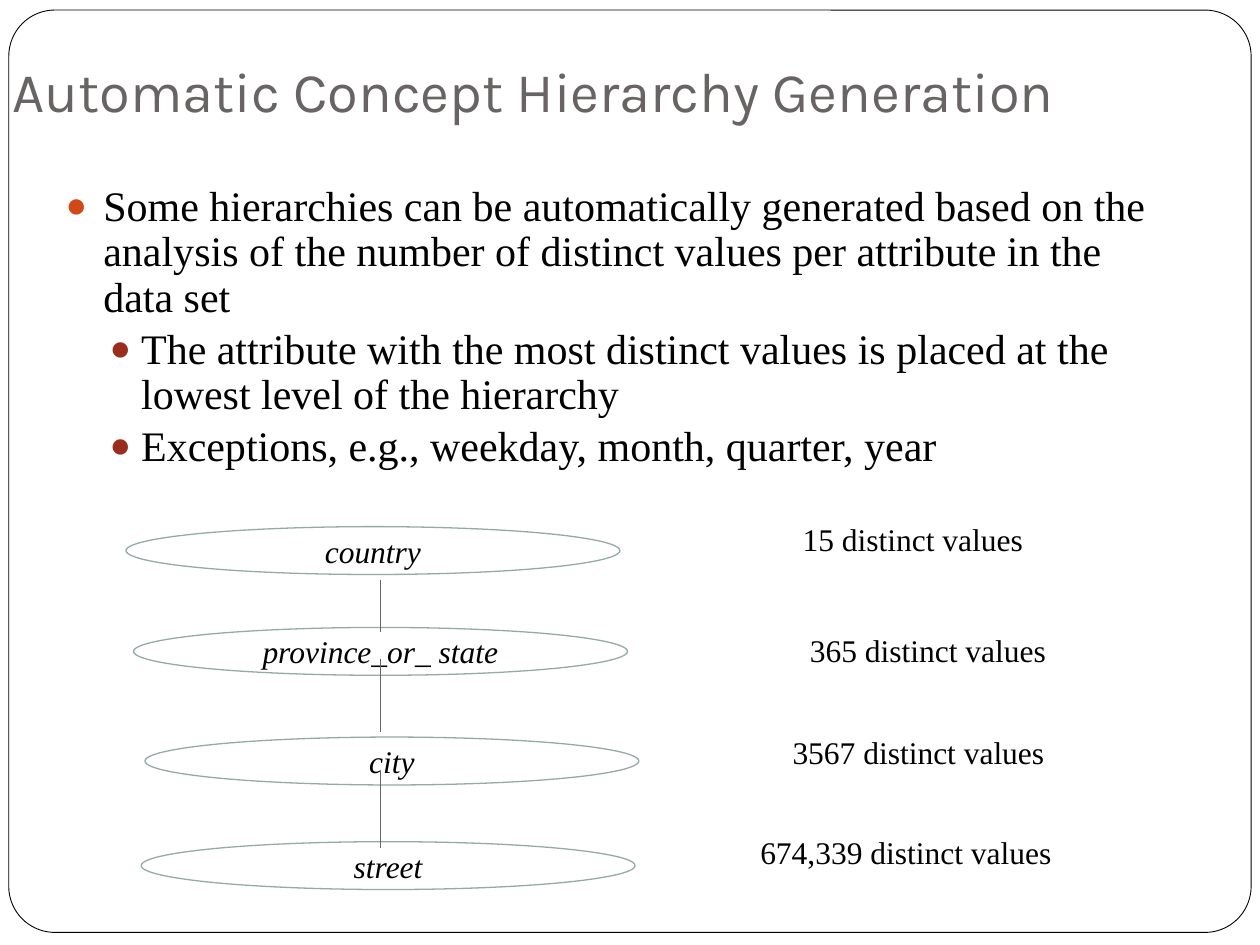
import pptx
import pptx.dml.color
import pptx.enum.shapes
import pptx.enum.text
import pptx.oxml
import pptx.oxml.ns
import pptx.util
from pptx.util import Inches

COLORS = {
    "paper": "FFFFFF",
    "ink": "000000",
    "title": "696464",
    "ellipse": "96A9A9",
    "link": "696464",
    "bullet": "D34817",
    "sub_bullet": "9B2D1F",
}
BODY_FONT = "Times New Roman"
ALIGN = pptx.enum.text.PP_ALIGN
ANCHOR = pptx.enum.text.MSO_ANCHOR
AUTO_SIZE = pptx.enum.text.MSO_AUTO_SIZE
SHAPE = pptx.enum.shapes.MSO_SHAPE

# text, outline level
POINTS = [
    ("Some hierarchies can be automatically generated based on the analysis "
     "of the number of distinct values per attribute in the data set", 0),
    ("The attribute with the most distinct values is placed at the lowest "
     "level of the hierarchy", 1),
    ("Exceptions, e.g., weekday, month, quarter, year", 1),
]
# indent, hanging, space before, bullet colour for each outline level
LEVELS = [(0.3, 0.3, 5.8, "bullet"), (0.6, 0.25, 3.7, "sub_bullet")]

# attribute, left, top (relative to the diagram)
ATTRIBUTES = [
    ("country", 0, 0),
    ("province_or_ state", 0.06, 0.8),
    ("city", 0.15, 1.67),
    ("street", 0.12, 2.5),
]
LINK_X = 2.02
LINK_SPANS = [(0.42, 0.84), (1.05, 1.63), (1.94, 2.55)]

# count, left, top, width (relative to the column of counts)
COUNTS = [
    ("15 distinct values", 0.43, 0, 2.53),
    ("365 distinct values", 0.45, 0.88, 2.73),
    ("3567 distinct values", 0.31, 1.69, 2.86),
    ("674,339 distinct values", 0, 2.48, 3.28),
]


def rgb(name):
    return pptx.dml.color.RGBColor.from_string(COLORS[name])


def place(shape, left, top, width, height):
    shape.left, shape.top = Inches(left), Inches(top)
    shape.width, shape.height = Inches(width), Inches(height)


def write(paragraph, text, size=18, font=BODY_FONT, color="ink",
          italic=False, align=ALIGN.CENTER):
    paragraph.alignment = align
    run = paragraph.add_run()
    run.text = text
    run.font.size = pptx.util.Pt(size)
    run.font.name = font
    run.font.italic = italic
    run.font.color.rgb = rgb(color)


def add_bullet(paragraph, indent, hanging, color):
    properties = paragraph._p.get_or_add_pPr()
    properties.set("marL", str(Inches(indent)))
    properties.set("indent", str(-Inches(hanging)))
    namespace = pptx.oxml.ns.nsdecls("a")
    for xml in (
        f'<a:buClr {namespace}><a:srgbClr val="{COLORS[color]}"/></a:buClr>',
        f'<a:buSzPct {namespace} val="85000"/>',
        f'<a:buChar {namespace} char="●"/>',
    ):
        properties.append(pptx.oxml.parse_xml(xml))


def add_frame(slide, left, top, width, height):
    """Rounded page border, placed behind everything else."""
    frame = slide.shapes.add_shape(
        SHAPE.ROUNDED_RECTANGLE, Inches(left), Inches(top), Inches(width), Inches(height))
    frame.adjustments[0] = 0.05
    frame.shadow.inherit = False
    frame.fill.solid()
    frame.fill.fore_color.rgb = rgb("paper")
    frame.line.color.rgb = rgb("ink")
    frame.line.width = pptx.util.Pt(0.5)
    slide.shapes[0].element.addprevious(frame.element)


def fill_title(title, left, top, width, height):
    place(title, left, top, width, height)
    frame = title.text_frame
    frame.auto_size = AUTO_SIZE.NONE
    frame.vertical_anchor = ANCHOR.BOTTOM
    frame.margin_bottom = Inches(0.1)
    write(frame.paragraphs[0], "Automatic Concept Hierarchy Generation",
          size=32, font="Karla", color="title", align=ALIGN.LEFT)


def fill_body(body, left, top, width, height):
    place(body, left, top, width, height)
    frame = body.text_frame
    frame.auto_size = AUTO_SIZE.NONE
    for index, (text, level) in enumerate(POINTS):
        paragraph = frame.add_paragraph() if index else frame.paragraphs[0]
        indent, hanging, space, color = LEVELS[level]
        paragraph.level = level
        add_bullet(paragraph, indent, hanging, color)
        paragraph.line_spacing = 0.9
        paragraph.space_before = pptx.util.Pt(space if index else 0)
        write(paragraph, text, size=24, align=ALIGN.LEFT)


def add_hierarchy(slide, left, top, width, height):
    """Chain of attribute ellipses, each width by height."""
    for attribute, dx, dy in ATTRIBUTES:
        ellipse = slide.shapes.add_shape(
            SHAPE.OVAL, Inches(left + dx), Inches(top + dy), Inches(width), Inches(height))
        ellipse.shadow.inherit = False
        ellipse.fill.background()
        ellipse.line.color.rgb = rgb("ellipse")
        ellipse.line.width = pptx.util.Pt(0.75)
        ellipse.text_frame.word_wrap = False
        ellipse.text_frame.vertical_anchor = ANCHOR.MIDDLE
        write(ellipse.text_frame.paragraphs[0], attribute, italic=True)
    x = Inches(left + LINK_X)
    for start, end in LINK_SPANS:
        link = slide.shapes.add_connector(
            pptx.enum.shapes.MSO_CONNECTOR.STRAIGHT,
            x, Inches(top + start), x, Inches(top + end))
        link.line.color.rgb = rgb("link")
        link.line.width = pptx.util.Pt(0.75)
        link.element.spPr.append(pptx.oxml.parse_xml(
            f'<a:effectLst {pptx.oxml.ns.nsdecls("a")}/>'))


def add_counts(slide, left, top, height):
    for count, dx, dy, width in COUNTS:
        label = slide.shapes.add_textbox(
            Inches(left + dx), Inches(top + dy), Inches(width), Inches(height))
        label.text_frame.word_wrap = True
        write(label.text_frame.paragraphs[0], count)


def main():
    deck = pptx.Presentation()
    deck.slide_width, deck.slide_height = Inches(10), Inches(7.5)
    slide = deck.slides.add_slide(deck.slide_layouts[1])
    add_frame(slide, 0.07, 0.08, 9.86, 7.32)
    fill_title(slide.shapes.title, 0, 0.33, 10, 0.75)
    fill_body(slide.placeholders[1], 0.42, 1.42, 8.83, 2.5)
    add_hierarchy(slide, 1, 4.18, 3.92, 0.38)
    add_counts(slide, 5.55, 4.08, 0.5)
    deck.save("out.pptx")


if __name__ == "__main__":
    main()
